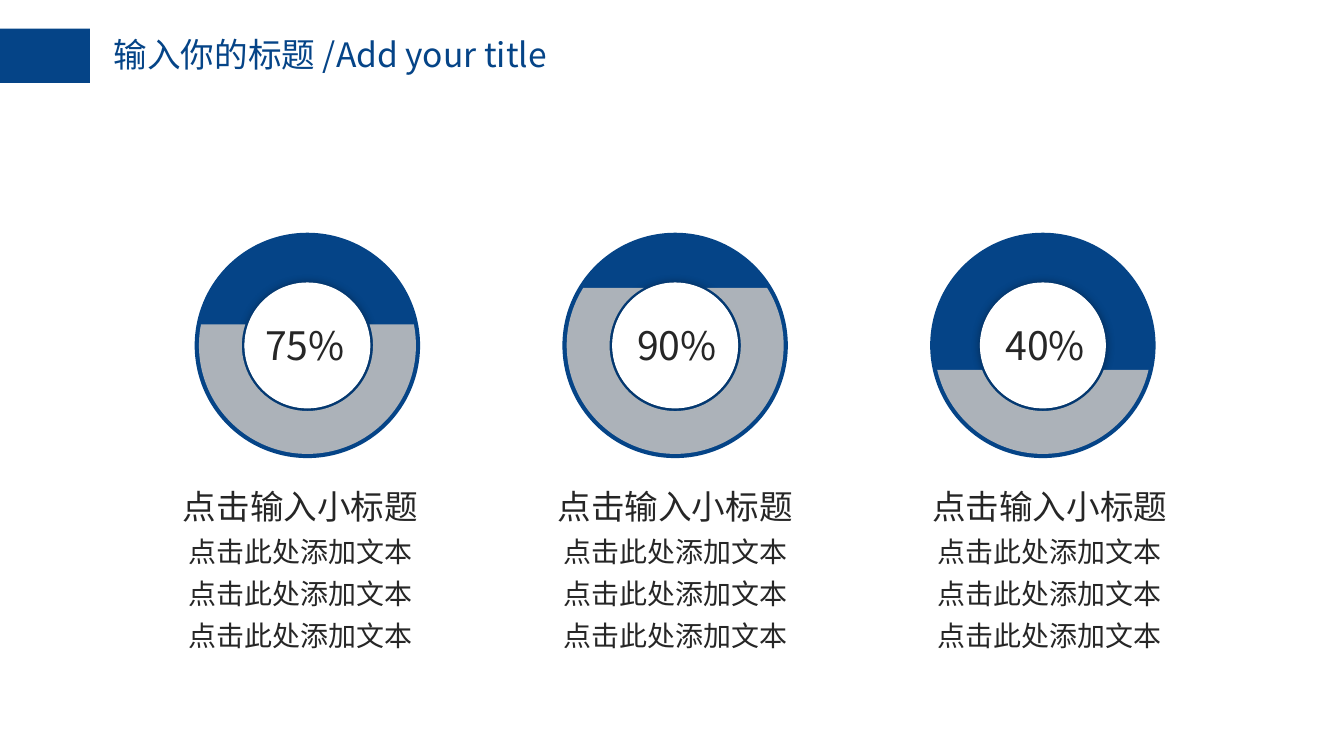
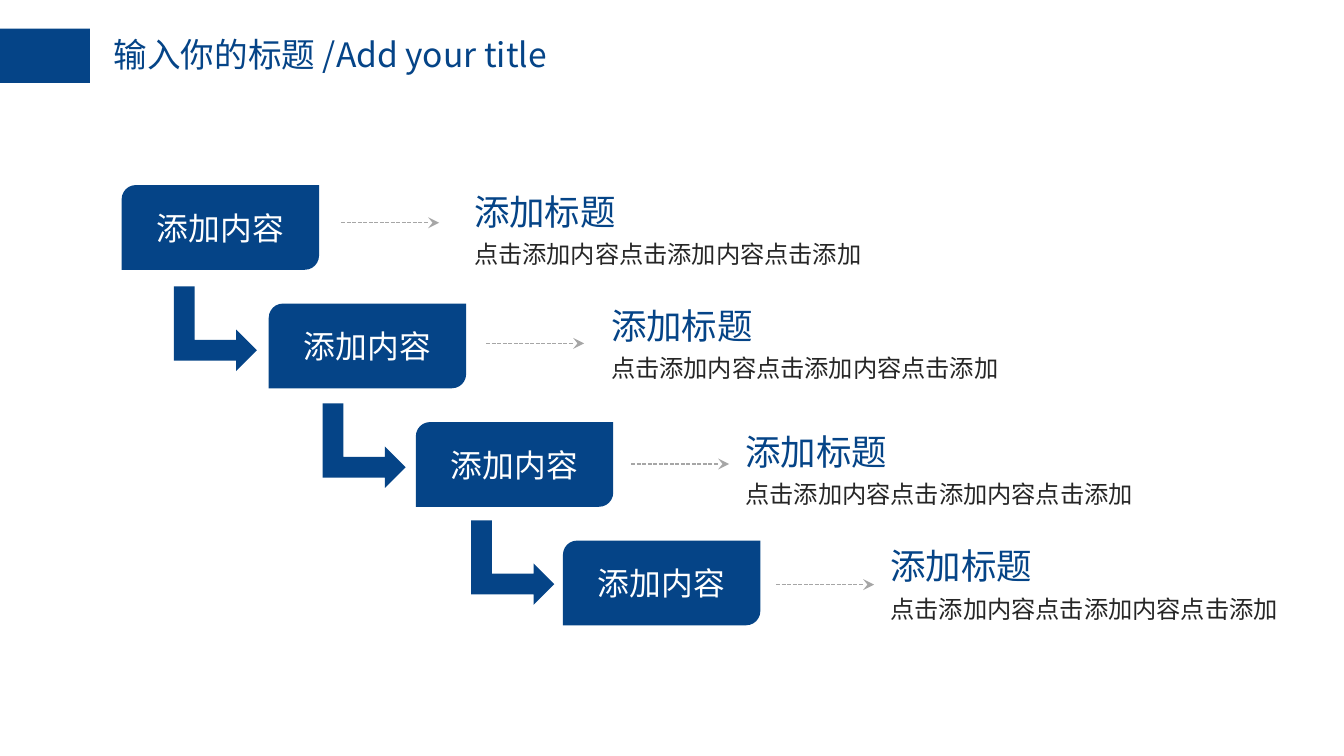
from dataclasses import dataclass
from math import asin, cos, pi, sin, tan

from lxml.etree import SubElement
from pptx import Presentation
from pptx.dml.color import RGBColor
from pptx.enum.dml import MSO_LINE
from pptx.enum.shapes import MSO_CONNECTOR, MSO_SHAPE
from pptx.enum.text import MSO_ANCHOR, MSO_AUTO_SIZE, PP_ALIGN
from pptx.oxml.ns import qn
from pptx.util import Cm, Pt

FONT = "Noto Sans CJK SC"
COLORS = {
    "blue": "054487",
    "ink": "262626",
    "white": "FFFFFF",
    "silver": "BFBFBF",
    "arrow": "A6A6A6",
    "shadow": "000000",
}
DEFAULT_INSETS = (0.25, 0.13)
TIGHT_INSETS = (0.18, 0.1)
ARC_CURVES = 3


@dataclass(frozen=True)
class Ring:
    percent: str
    label_left: float
    level: float  # top of the filled part, from the ring's centre


@dataclass(frozen=True)
class Step:
    text_left: float
    text_top: float


RINGS = [
    Ring("75%", 4.83, -0.4),
    Ring("90%", 11.86, -1.09),
    Ring("40%", 18.82, 0.46),
]
STEPS = [Step(8.71, 3.51), Step(11.3, 5.66), Step(13.84, 8.05), Step(16.58, 10.21)]


# Helpers; all lengths are in centimetres
def color(name: str) -> RGBColor:
    return RGBColor.from_string(COLORS[name])


def add_text(p, text: str, *, size: float, ink: str = "ink", align=PP_ALIGN.LEFT,
             spacing: float | None = None):
    """Add a formatted run to a paragraph."""
    p.alignment = align
    if spacing:
        p.line_spacing = Pt(spacing)
    r = p.add_run()
    r.text = text
    r.font.size = Pt(size)
    r.font.name = FONT
    r.font.color.rgb = color(ink)
    SubElement(r.font._element, qn("a:ea")).set("typeface", FONT)


def set_frame(sp, anchor=MSO_ANCHOR.TOP, insets=DEFAULT_INSETS):
    tf = sp.text_frame
    tf.word_wrap = True
    tf.auto_size = MSO_AUTO_SIZE.NONE
    tf.vertical_anchor = anchor
    tf.margin_left = tf.margin_right = Cm(insets[0])
    tf.margin_top = tf.margin_bottom = Cm(insets[1])
    return tf


def add_box(shapes, x: float, y: float, w: float, h: float, **frame):
    return set_frame(shapes.add_textbox(Cm(x), Cm(y), Cm(w), Cm(h)), **frame)


def paint(sp, fill: str):
    sp.shadow.inherit = False
    sp.fill.solid()
    sp.fill.fore_color.rgb = color(fill)
    sp.line.fill.background()


def add_shape(shapes, kind, x: float, y: float, w: float, h: float, fill: str = "blue"):
    sp = shapes.add_shape(kind, Cm(x), Cm(y), Cm(w), Cm(h))
    paint(sp, fill)
    return sp


def add_circle(shapes, kind, cx: float, cy: float, radius: float, fill: str):
    return add_shape(shapes, kind, cx - radius, cy - radius, 2 * radius, 2 * radius, fill)


def add_glow(sp):
    """Soft shadow on every side of a shape."""
    effects = sp._element.spPr.find(qn("a:effectLst"))
    shadow = SubElement(effects, qn("a:outerShdw"), blurRad=str(Pt(5)), dist="0",
                        algn="ctr", rotWithShape="0")
    clr = SubElement(shadow, qn("a:srgbClr"), val=COLORS["shadow"])
    SubElement(clr, qn("a:alpha"), val="40000")


def add_slide(prs):
    """Title-only slide with the blue band and the shared title."""
    s = prs.slides.add_slide(prs.slide_layouts[5])
    add_shape(s.shapes, MSO_SHAPE.RECTANGLE, 0, 0.54, 1.7, 1.03)
    title = s.shapes.title
    title.left, title.top, title.width, title.height = Cm(1.9), Cm(0.52), Cm(10.6), Cm(1.8)
    p = set_frame(title).paragraphs[0]
    add_text(p, "输入你的标题 /Add your title", size=18, ink="blue")
    return s


# Slide 1: rings
def arc(cx: float, cy: float, radius: float, level: float):
    """Bezier points of the part of a circle that lies below a level."""
    start = asin(level / radius)
    turn = (pi - 2 * start) / ARC_CURVES
    handle = 4 / 3 * tan(turn / 4)

    def point(angle: float, pull: float = 0):
        return (Cm(cx + radius * (cos(angle) - pull * sin(angle))),
                Cm(cy + radius * (sin(angle) + pull * cos(angle))))

    points = [point(start)]
    for i in range(ARC_CURVES):
        a, b = start + turn * i, start + turn * (i + 1)
        points += [point(a, handle), point(b, -handle), point(b)]
    return points


def curve(lines):
    """Turn each three line segments into one Bezier curve."""
    for i in range(0, len(lines), 3):
        bezier = lines[i].getparent().makeelement(qn("a:cubicBezTo"))
        lines[i].addprevious(bezier)
        for line in lines[i:i + 3]:
            bezier.append(line[0])
            line.getparent().remove(line)


def add_filling(shapes, cx: float, cy: float, level: float):
    points = arc(cx, cy, 2.05, level) + arc(cx, cy, 1.24, level)[::-1]
    builder = shapes.build_freeform(*points[0])
    builder.add_line_segments(points[1:], close=True)
    sp = builder.convert_to_shape()
    paint(sp, "silver")
    spPr = sp._element.spPr
    lines = list(spPr.iter(qn("a:lnTo")))
    count = 3 * ARC_CURVES
    curve(lines[:count])
    curve(lines[count + 1:2 * count + 1])
    clr = spPr.find(qn("a:solidFill")).find(qn("a:srgbClr"))
    SubElement(clr, qn("a:alpha"), val="90000")


def add_ring(s, cx: float, cy: float, ring: Ring):
    group = s.shapes.add_group_shape().shapes
    donut = add_circle(group, MSO_SHAPE.DONUT, cx, cy, 2.13, "blue")
    donut.adjustments[0] = 0.222
    add_glow(add_circle(group, MSO_SHAPE.OVAL, cx, cy, 1.19, "white"))
    add_filling(s.shapes, cx, cy, ring.level)
    tf = add_box(s.shapes, ring.label_left, cy - 0.56, 1.93, 1.09, insets=TIGHT_INSETS)
    add_text(tf.paragraphs[0], ring.percent, size=21)


def add_caption(s, x: float):
    tf = add_box(s.shapes, x, 8.93, 5.16, 3.58, insets=TIGHT_INSETS)
    add_text(tf.paragraphs[0], "点击输入小标题", size=18, spacing=26.2, align=PP_ALIGN.CENTER)
    for _ in range(3):
        add_text(tf.add_paragraph(), "点击此处添加文本", size=15, spacing=22.5,
                 align=PP_ALIGN.CENTER)


def build_rings(prs):
    s = add_slide(prs)
    for i, ring in enumerate(RINGS):
        add_ring(s, 5.81 + 6.95 * i, 6.53, ring)
        add_caption(s, 3.1 + 7.08 * i)


# Slide 2: staircase
def add_dashed_arrow(s, x: float, y: float, length: float):
    line = s.shapes.add_connector(MSO_CONNECTOR.STRAIGHT, Cm(x), Cm(y), Cm(x + length), Cm(y))
    line.line.color.rgb = color("arrow")
    line.line.width = Pt(0.75)
    line.line.dash_style = MSO_LINE.SQUARE_DOT
    SubElement(line.line._get_or_add_ln(), qn("a:tailEnd"), type="stealth")
    SubElement(line._element.spPr, qn("a:effectLst"))


def add_step(s, i: int, step: Step):
    box = add_shape(s.shapes, MSO_SHAPE.ROUND_2_DIAG_RECTANGLE,
                    2.3 + 2.78 * i, 3.5 + 2.24 * i, 3.73, 1.6)
    tf = set_frame(box, MSO_ANCHOR.MIDDLE)
    add_text(tf.paragraphs[0], "添加内容", size=17, ink="white", align=PP_ALIGN.CENTER)
    add_dashed_arrow(s, 6.45 + 2.74 * i, 4.21 + 2.28 * i, 1.85)

    group = s.shapes.add_group_shape().shapes
    x, y = step.text_left, step.text_top
    heading = add_box(group, x, y, 3.38, 0.97, anchor=MSO_ANCHOR.MIDDLE)
    add_text(heading.paragraphs[0], "添加标题", size=19, ink="blue")
    body = add_box(group, x, y + 0.86, 7.9, 0.86, anchor=MSO_ANCHOR.MIDDLE)
    add_text(body.paragraphs[0], "点击添加内容点击添加内容点击添加", size=13)


def build_steps(prs):
    s = add_slide(prs)
    for i, step in enumerate(STEPS):
        add_step(s, i, step)
    for i in range(len(STEPS) - 1):
        elbow = add_shape(s.shapes, MSO_SHAPE.BENT_UP_ARROW,
                          3.27 + 2.81 * i, 5.43 + 2.21 * i, 1.6, 1.57)
        elbow.rotation = 90


def main():
    prs = Presentation()
    prs.slide_width, prs.slide_height = Cm(25.4), Cm(14.29)
    build_rings(prs)
    build_steps(prs)
    prs.save("out.pptx")


if __name__ == "__main__":
    main()
